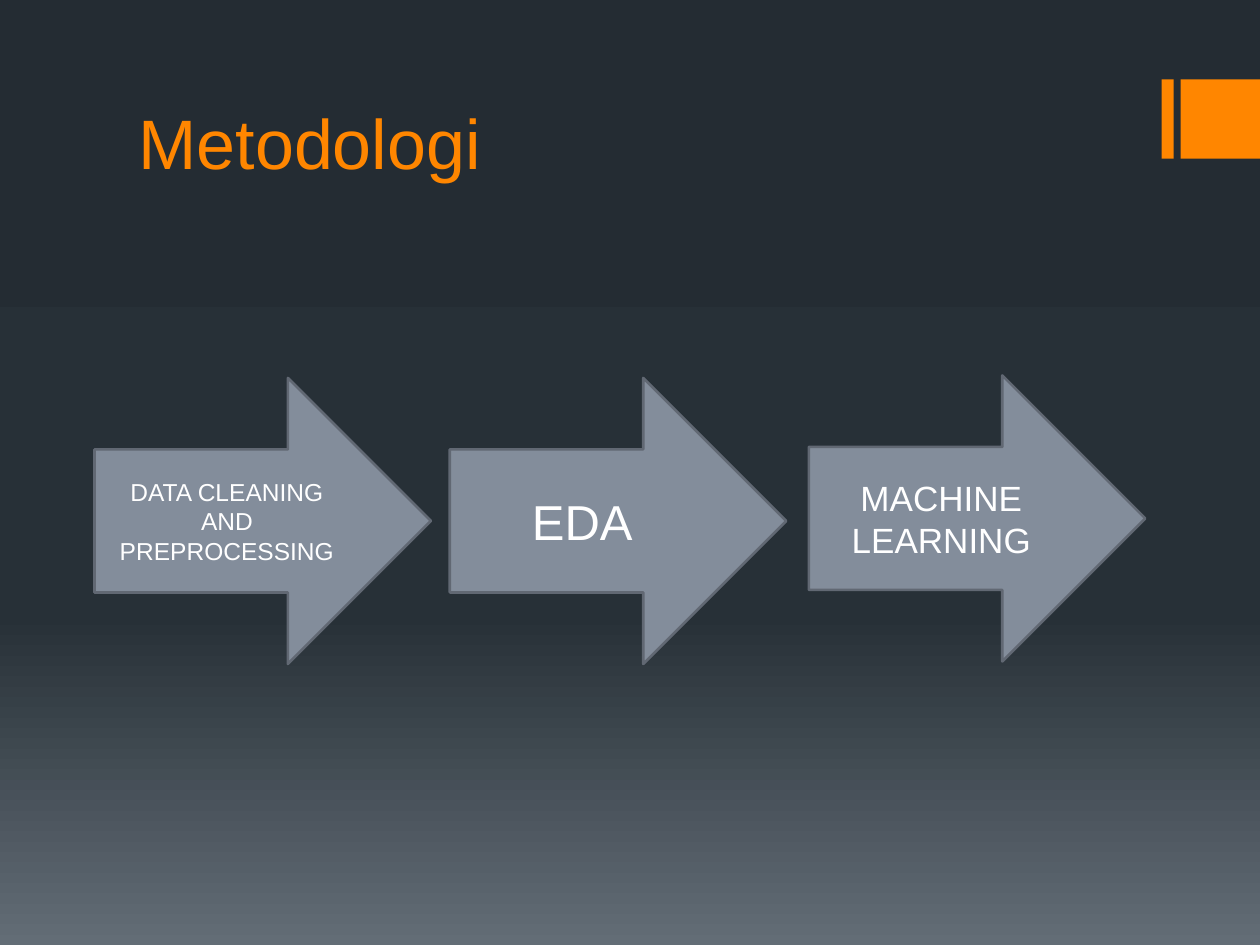
import copy
import pptx
import pptx.util
import pptx.dml.color
import pptx.enum.shapes
import pptx.enum.text

COLORS = {
    "accent": "FF8600",
    "arrow": "838D9B",
    "edge": "616873",
    "text": "FFFFFF",
    "top": "242C33",
    "middle": "273037",
    "bottom": "636D76",
}
KINDS = pptx.enum.shapes.MSO_SHAPE
ALIGN = pptx.enum.text.PP_ALIGN
ANCHOR = pptx.enum.text.MSO_ANCHOR
COLS, ROWS = 40, 30


def color(name):
    return pptx.dml.color.RGBColor.from_string(COLORS[name])


class Deck:
    font = "Arial"

    def __init__(self):
        self.show = pptx.Presentation()
        self.show.slide_width = pptx.util.Inches(10)
        self.show.slide_height = pptx.util.Inches(7.5)
        self.slide = self.show.slides.add_slide(self.show.slide_layouts[5])

    def box(self, col, row, wide, high):
        x = self.show.slide_width / COLS
        y = self.show.slide_height / ROWS
        return [round(n) for n in (col * x, row * y, wide * x, high * y)]

    def back(self, stops):
        fill = self.slide.background.fill
        fill.gradient()
        fill.gradient_angle = 270
        marks = self.slide.element.xpath(".//a:gsLst")[0]
        while len(marks) < len(stops):
            marks.append(copy.deepcopy(marks[0]))
        for mark, (place, name) in zip(fill.gradient_stops, stops):
            mark.position = place
            mark.color.rgb = color(name)

    def label(self, shape, text, size, name, align, anchor):
        frame = shape.text_frame
        frame.text = text
        frame.word_wrap = True
        frame.auto_size = pptx.enum.text.MSO_AUTO_SIZE.NONE
        frame.vertical_anchor = anchor
        for para in frame.paragraphs:
            para.alignment = align
            para.font.name = self.font
            para.font.size = pptx.util.Pt(size)
            para.font.color.rgb = color(name)

    def title(self, text, *place):
        shape = self.slide.shapes.title
        shape.left, shape.top, shape.width, shape.height = self.box(*place)
        self.label(shape, text, 40, "accent", ALIGN.LEFT, ANCHOR.BOTTOM)

    def shape(self, kind, name, *place):
        shape = self.slide.shapes.add_shape(kind, *self.box(*place))
        shape.shadow.inherit = False
        shape.fill.solid()
        shape.fill.fore_color.rgb = color(name)
        return shape

    def bar(self, *place):
        self.shape(KINDS.RECTANGLE, "accent", *place).line.fill.background()

    def arrow(self, text, size, col, row):
        shape = self.shape(KINDS.RIGHT_ARROW, "arrow", col, row, 10.68, 9.08)
        shape.line.color.rgb = color("edge")
        shape.line.width = pptx.util.Pt(1.5)
        self.label(shape, text, size, "text", ALIGN.CENTER, ANCHOR.MIDDLE)


def main():
    deck = Deck()
    deck.back([(0, "top"), (0.65, "middle"), (1, "bottom")])
    for col, wide in ((36.88, 0.38), (37.48, 2.52)):
        deck.bar(col, 2.52, wide, 2.52)
    deck.title("Metodologi", 4, 1, 32, 5.04)
    steps = (
        ("DATA CLEANING AND PREPROCESSING", 14, 3, 12),
        ("EDA", 28, 14.28, 12),
        ("MACHINE LEARNING", 20, 25.68, 11.92),
    )
    for step in steps:
        deck.arrow(*step)
    deck.show.save("out.pptx")


if __name__ == "__main__":
    main()
